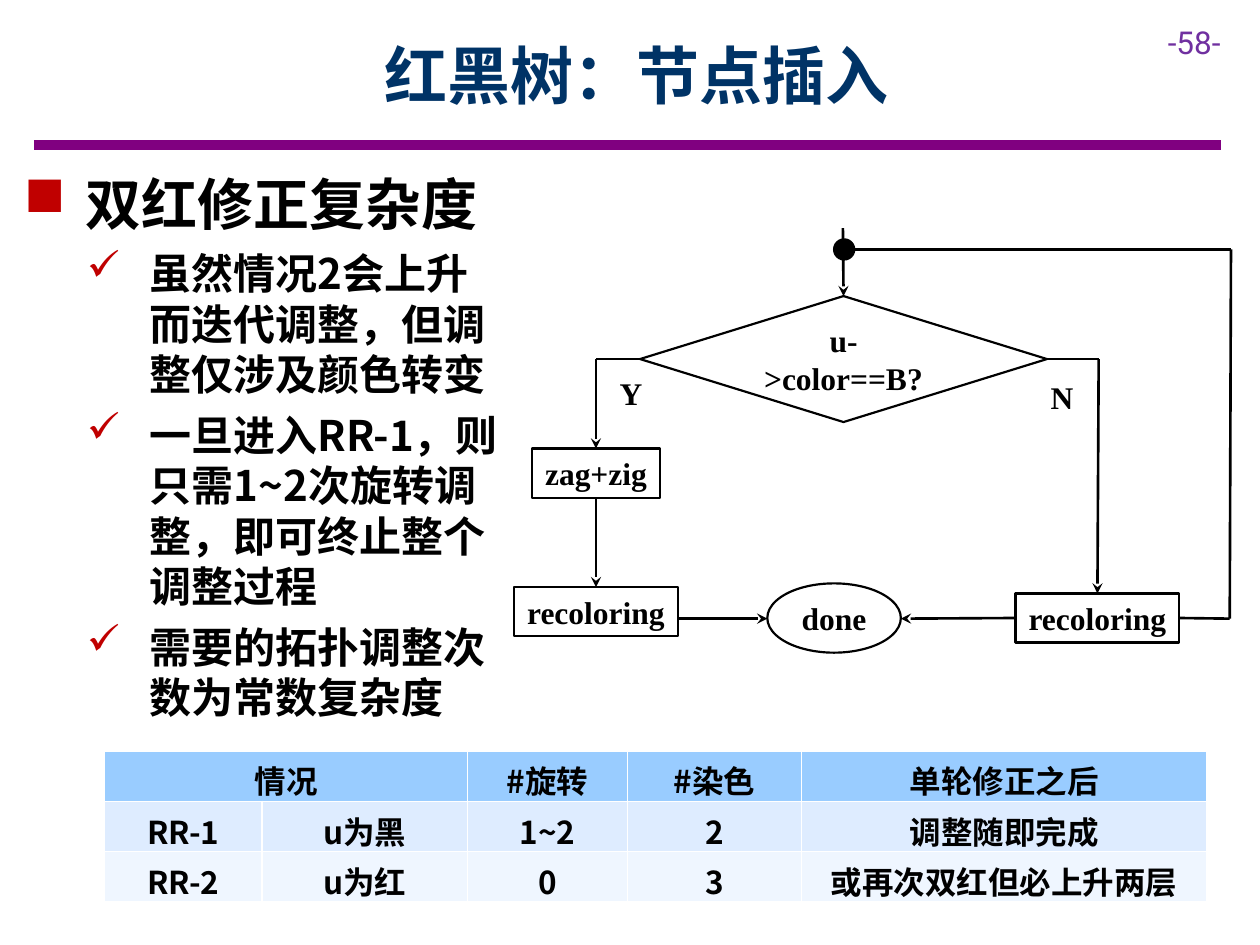
from lxml import etree
from pptx import Presentation
from pptx.dml.color import RGBColor
from pptx.enum.shapes import MSO_CONNECTOR, MSO_SHAPE
from pptx.enum.text import MSO_ANCHOR, PP_ALIGN
from pptx.oxml.ns import qn
from pptx.util import Inches, Pt

STRAIGHT = MSO_CONNECTOR.STRAIGHT
DIAMOND, BOX, OVAL = MSO_SHAPE.FLOWCHART_DECISION, MSO_SHAPE.RECTANGLE, MSO_SHAPE.OVAL
MIDDLE, CENTER = MSO_ANCHOR.MIDDLE, PP_ALIGN.CENTER
TOP, LEFT, BOTTOM, RIGHT = range(4)

CHINESE, SERIF, SANS = "Noto Sans CJK SC", "Times New Roman", "Roboto"
COLORS = {
    "black": "000000", "title": "003366", "rule": "800080", "number": "7030A0",
    "bullet": "C00000", "header": "99CCFF", "band 1": "DEECFF", "band 2": "EFF6FF",
}


def write(paragraph, text, size=18, font=CHINESE, color="black", bold=True):
    run = paragraph.add_run()
    run.text = text
    run.font.color.rgb = RGBColor.from_string(COLORS[color])
    values = {"size": Pt(size), "name": font, "bold": bold}
    for name, value in values.items():
        setattr(run.font, name, value)
    etree.SubElement(run.font._element, qn("a:ea"), typeface=font)


def connect(start, end, arrow=False, width=1.5, color="black"):
    points = [Inches(value) for value in (*start, *end)]
    connector = slide.shapes.add_connector(STRAIGHT, *points)
    connector.line.width = Pt(width)
    connector.line.color.rgb = RGBColor.from_string(COLORS[color])
    if arrow:
        line = connector.line._get_or_add_ln()
        etree.SubElement(line, qn("a:tailEnd"), type="stealth")
    etree.SubElement(connector._element.spPr, qn("a:effectLst"))
    return connector


presentation = Presentation()
presentation.slide_width, presentation.slide_height = Inches(10), Inches(7.5)
slide = presentation.slides.add_slide(presentation.slide_layouts[5])

# Title, rule and page number
title = slide.shapes.title
title.left, title.top, title.width, title.height = map(Inches, (0.9, 0.09, 8.31, 1))
title.text_frame.vertical_anchor = MIDDLE
title.text_frame.paragraphs[0].alignment = CENTER
write(title.text_frame.paragraphs[0], "红黑树：节点插入", 36, color="title")
connect((0.27, 1.15), (9.69, 1.15), width=6, color="rule")

# Free labels: page number and the two branches
labels = [
    ("-58-", 9.17, 0.13, 0.83, SANS, "number", False),
    ("N", 8.24, 2.95, 0.38, SERIF, "black", True),
    ("Y", 4.82, 2.92, 0.38, SERIF, "black", True),
]
for text, left, top, width, font, color, bold in labels:
    label = slide.shapes.add_textbox(*map(Inches, (left, top, width, 0.4)))
    write(label.text_frame.paragraphs[0], text, 18, font, color, bold)

# Bulleted text
points = [
    ("双红修正复杂度", 0, 32, "■", 0.49, 0.49),
    ("虽然情况2会上升而迭代调整，但调整仅涉及颜色转变", 1, 24, "✓", 1, 0.5),
    ("一旦进入RR-1，则只需1~2次旋转调整，即可终止整个调整过程", 1, 24, "✓", 1, 0.5),
    ("需要的拓扑调整次数为常数复杂度", 1, 24, "✓", 1, 0.5),
]
body = slide.shapes.add_textbox(*map(Inches, (0.09, 1.3, 3.98, 4.53))).text_frame
body.word_wrap = True
for index, (text, level, size, bullet, margin, hanging) in enumerate(points):
    paragraph = body.add_paragraph() if index else body.paragraphs[0]
    paragraph.level = level
    paragraph.space_after = Pt(6)
    properties = paragraph._p.get_or_add_pPr()
    properties.set("marL", str(Inches(margin)))
    properties.set("indent", str(-Inches(hanging)))
    bullet_color = etree.SubElement(properties, qn("a:buClr"))
    etree.SubElement(bullet_color, qn("a:srgbClr"), val=COLORS["bullet"])
    etree.SubElement(properties, qn("a:buChar"), char=bullet)
    write(paragraph, text, size)

# Flowchart nodes
nodes = {
    "decision": (DIAMOND, "u->color==B?", 5.08, 2.35, 3.23, 1),
    "rotate": (BOX, "zag+zig", 4.22, 3.56, 1.02, 0.39),
    "recolor black": (BOX, "recoloring", 4.08, 4.66, 1.3, 0.39),
    "done": (OVAL, "done", 6.09, 4.63, 1.06, 0.55),
    "recolor red": (BOX, "recoloring", 8.06, 4.71, 1.3, 0.39),
    "junction": (OVAL, "", 6.62, 1.9, 0.16, 0.16),
}
shapes = {}
for name, (kind, text, *place) in nodes.items():
    shape = slide.shapes.add_shape(kind, *map(Inches, place))
    shape.shadow.inherit = False
    shape.line.width = Pt(1.25)
    shape.line.color.rgb = RGBColor.from_string(COLORS["black"])
    if text:
        shape.fill.background()
        frame = shape.text_frame
        frame.word_wrap = kind == DIAMOND
        frame.vertical_anchor = MIDDLE
        for side in ("left", "top", "right", "bottom"):
            setattr(frame, f"margin_{side}", Inches(0.1))
        frame.paragraphs[0].alignment = CENTER
        write(frame.paragraphs[0], text, 18, SERIF)
    else:
        shape.fill.solid()
        shape.fill.fore_color.rgb = RGBColor.from_string(COLORS["black"])
    shapes[name] = shape

# Flowchart lines: start, end, arrow, joined start, joined end
flows = [
    ((5.08, 2.85), (4.73, 2.85), False, ("decision", LEFT), None),
    ((4.73, 2.85), (4.73, 3.56), True, None, ("rotate", TOP)),
    ((4.73, 3.95), (4.73, 4.66), True, ("rotate", BOTTOM), ("recolor black", TOP)),
    ((5.38, 4.91), (6.09, 4.91), True, None, None),
    ((8.06, 4.91), (7.15, 4.91), True, ("recolor red", LEFT), None),
    ((8.31, 2.85), (8.72, 2.85), False, ("decision", RIGHT), None),
    ((8.72, 2.85), (8.7, 4.71), True, None, ("recolor red", TOP)),
    ((9.36, 4.91), (9.76, 4.91), False, ("recolor red", RIGHT), None),
    ((9.76, 4.91), (9.77, 1.98), False, None, None),
    ((9.77, 1.98), (6.69, 1.98), False, None, None),
    ((6.69, 1.81), (6.69, 2.35), True, None, ("decision", TOP)),
]
for start, end, arrow, joined_start, joined_end in flows:
    connector = connect(start, end, arrow)
    if joined_start:
        connector.begin_connect(shapes[joined_start[0]], joined_start[1])
    if joined_end:
        connector.end_connect(shapes[joined_end[0]], joined_end[1])

# Table of cases
rows = [
    ("header", ["情况", "", "#旋转", "#染色", "单轮修正之后"]),
    ("band 1", ["RR-1", "u为黑", "1~2", "2", "调整随即完成"]),
    ("band 2", ["RR-2", "u为红", "0", "3", "或再次双红但必上升两层"]),
]
table = slide.shapes.add_table(3, 5, *map(Inches, (0.83, 5.96, 8.75, 1.2))).table
for column, width in zip(table.columns, (1.25, 1.63, 1.27, 1.38, 3.22)):
    column.width = Inches(width)
table.cell(0, 0).merge(table.cell(0, 1))
for row, (color, texts) in enumerate(rows):
    for column, text in enumerate(texts):
        cell = table.cell(row, column)
        cell.margin_bottom = 0
        cell.fill.solid()
        cell.fill.fore_color.rgb = RGBColor.from_string(COLORS[color])
        if text:
            paragraph = cell.text_frame.paragraphs[0]
            paragraph.alignment = CENTER
            write(paragraph, text)

presentation.save("out.pptx")
